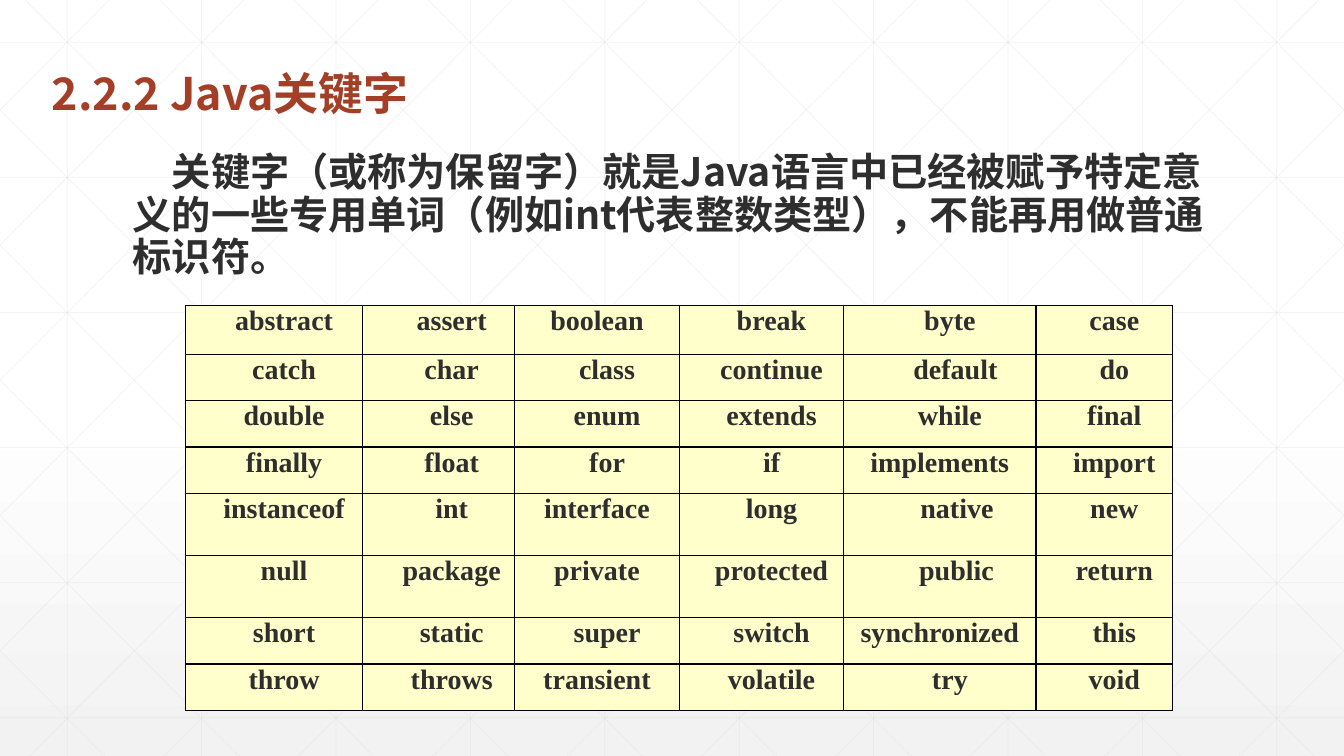
import pptx
import pptx.dml.color
import pptx.enum.shapes
import pptx.enum.text
import pptx.oxml.ns
import pptx.util
from lxml import etree

Pt = pptx.util.Pt
qn = pptx.oxml.ns.qn
ALIGN = pptx.enum.text.PP_ALIGN
ANCHOR = pptx.enum.text.MSO_ANCHOR

# Content
TITLE = "2.2.2 Java关键字"
INTRO = ("关键字（或称为保留字）就是Java语言中已经被赋予特定意义的一些专用单词"
         "（例如int代表整数类型），不能再用做普通标识符。")
KEYWORDS = [
    "abstract assert boolean break byte case".split(),
    "catch char class continue default do".split(),
    "double else enum extends while final".split(),
    "finally float for if implements import".split(),
    "instanceof int interface long native new".split(),
    "null package private protected public return".split(),
    "short static super switch synchronized this".split(),
    "throw throws transient volatile try void".split(),
]

# Theme
THEME = {
    "heading": {"name": "Noto Sans CJK SC", "size": Pt(32), "bold": True, "color": "A43F27"},
    "body": {"name": "Noto Sans CJK SC", "size": Pt(28), "bold": True, "color": "2D2E2D"},
    "keyword": {"name": "Times New Roman", "size": Pt(20), "bold": True, "color": "2D2E2D"},
    "line_spacing": 0.9,
    "cell": "FFFFCC",
    "border": "000000",
    "grid": "D9D9D9",
    "backdrop": [(0.53, "FFFFFF"), (1, "F2F2F2")],
}

# Measures in points
WIDTH, HEIGHT = 960, 540
STEP = 96
TABLE_LEFT, TABLE_TOP = 132.5, 218.2
COLUMNS = [126.5, 108.7, 117.6, 117.4, 137.4, 97.5]
ROWS = [35, 33.1, 33.1, 33.1, 44.4, 44.4, 33.1, 33.1]
COLUMN_INDENTS = [14.4, 18.7, 14.4, 14.4, 14.4, 14.4]
WORD_INDENTS = {"boolean": 0, "interface": 0, "private": 0, "transient": 0,
                "implements": 0, "synchronized": 0,
                "default": 22.3, "native": 24.5, "public": 23.8}


def rgb(value):
    return pptx.dml.color.RGBColor.from_string(value)


def apply(target, formats):
    for name, value in formats.items():
        setattr(target, name, value)


def write(frame, text, style, para_formats, left=0, first=0):
    para = frame.paragraphs[0]
    apply(para, para_formats)
    props = para._p.get_or_add_pPr()
    props.set("marL", str(Pt(left)))
    props.set("indent", str(Pt(first)))
    span = para.add_run()
    span.text = text
    apply(span.font, {key: style[key] for key in ("name", "size", "bold")})
    span.font.color.rgb = rgb(style["color"])
    etree.SubElement(span._r.get_or_add_rPr(), qn("a:ea"), typeface=style["name"])


def add_text(page, place, text, style, anchor, first=0):
    box = page.shapes.add_textbox(*map(Pt, place))
    apply(box.text_frame, {"word_wrap": True, "vertical_anchor": anchor})
    write(box.text_frame, text, style, {"line_spacing": THEME["line_spacing"]}, first=first)


def add_grid_line(page, x1, y1, x2, y2):
    line = page.shapes.add_connector(
        pptx.enum.shapes.MSO_CONNECTOR.STRAIGHT, *map(Pt, (x1, y1, x2, y2)))
    line.line.width = Pt(0.5)
    line.line.color.rgb = rgb(THEME["grid"])
    props = line._element.spPr
    etree.SubElement(props.find(".//" + qn("a:srgbClr")), qn("a:alpha"), val="30000")
    etree.SubElement(props, qn("a:effectLst"))


def add_backdrop(page):
    fill = page.background.fill
    fill.gradient()
    fill.gradient_angle = 270
    for stop, (position, color) in zip(fill.gradient_stops, THEME["backdrop"]):
        stop.position = position
        stop.color.rgb = rgb(color)

    # Upright and level lines
    for i in range(10):
        x = 48 + STEP * i
        add_grid_line(page, x, 0, x, HEIGHT)
    for i in range(6):
        y = 30.2 + 96.5 * i
        add_grid_line(page, 0, y, WIDTH, y)

    # Diagonals cut at the page edges, each with its mirror line
    slope = 0.994
    for i in range(-5, 10):
        top_x = 18 + STEP * i
        x1, x2 = max(top_x, 0), min(top_x + slope * HEIGHT, WIDTH)
        y1, y2 = (x1 - top_x) / slope, (x2 - top_x) / slope
        add_grid_line(page, x1, y1, x2, y2)
        add_grid_line(page, WIDTH - x1, y1, WIDTH - x2, y2)


def add_borders(cell):
    props = cell._tc.get_or_add_tcPr()
    for index, side in enumerate(("lnL", "lnR", "lnT", "lnB")):
        edge = etree.Element(qn("a:" + side), w=str(Pt(1)))
        paint = etree.SubElement(edge, qn("a:solidFill"))
        etree.SubElement(paint, qn("a:srgbClr"), val=THEME["border"])
        props.insert(index, edge)


def add_keyword_table(page):
    table = page.shapes.add_table(
        len(ROWS), len(COLUMNS), Pt(TABLE_LEFT), Pt(TABLE_TOP),
        Pt(sum(COLUMNS)), Pt(sum(ROWS))).table
    apply(table, {"first_row": False, "horz_banding": False})
    for column, width in zip(table.columns, COLUMNS):
        column.width = Pt(width)
    for row, height, words in zip(table.rows, ROWS, KEYWORDS):
        row.height = Pt(height)
        for cell, word, indent in zip(row.cells, words, COLUMN_INDENTS):
            apply(cell, {"margin_left": 0, "margin_right": 0,
                         "margin_top": 0, "margin_bottom": 0})
            cell.fill.solid()
            cell.fill.fore_color.rgb = rgb(THEME["cell"])
            add_borders(cell)
            write(cell.text_frame, word, THEME["keyword"],
                  {"alignment": ALIGN.CENTER}, left=WORD_INDENTS.get(word, indent))


def main():
    deck = pptx.Presentation()
    apply(deck, {"slide_width": Pt(WIDTH), "slide_height": Pt(HEIGHT)})
    page = deck.slides.add_slide(deck.slide_layouts[6])
    add_backdrop(page)
    add_text(page, (87.8, 105.8, 796.3, 95.8), INTRO, THEME["body"], ANCHOR.TOP, first=28)
    add_text(page, (30, 17.5, 641.5, 72), TITLE, THEME["heading"], ANCHOR.BOTTOM)
    add_keyword_table(page)
    deck.save("out.pptx")


if __name__ == "__main__":
    main()
